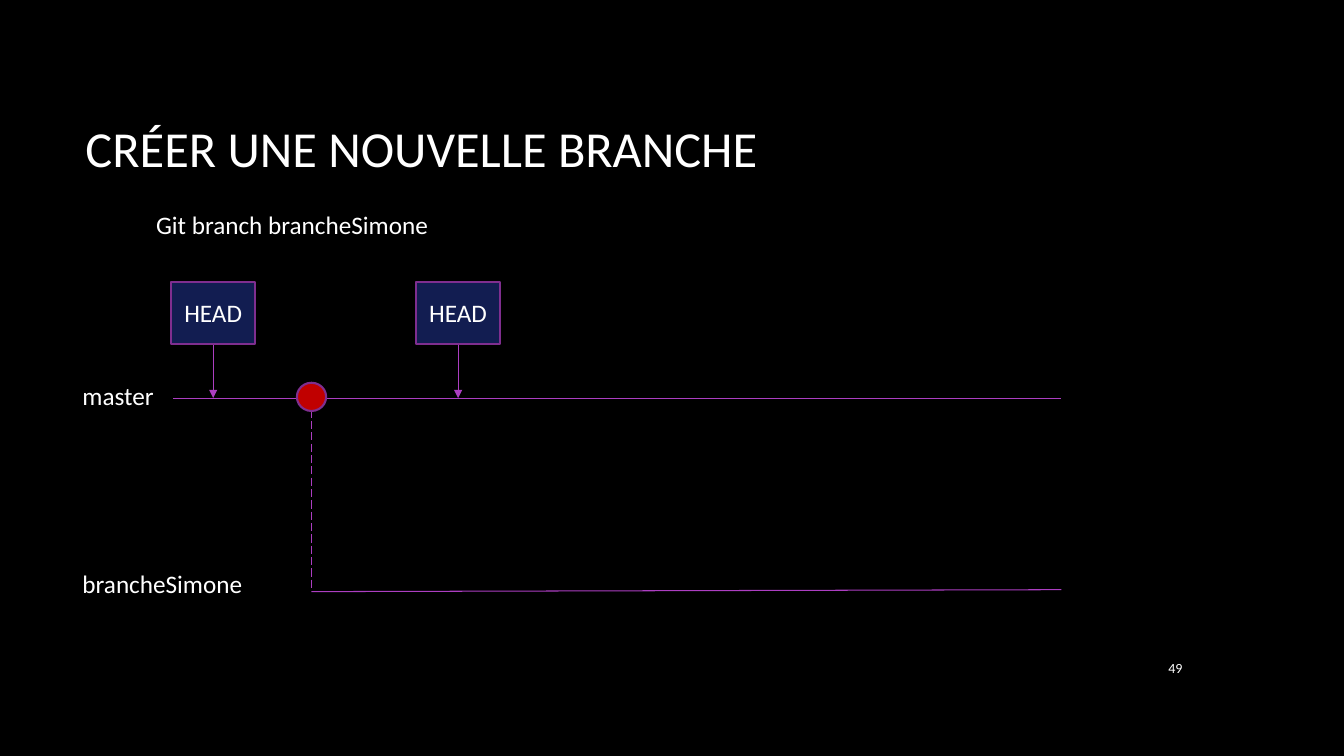
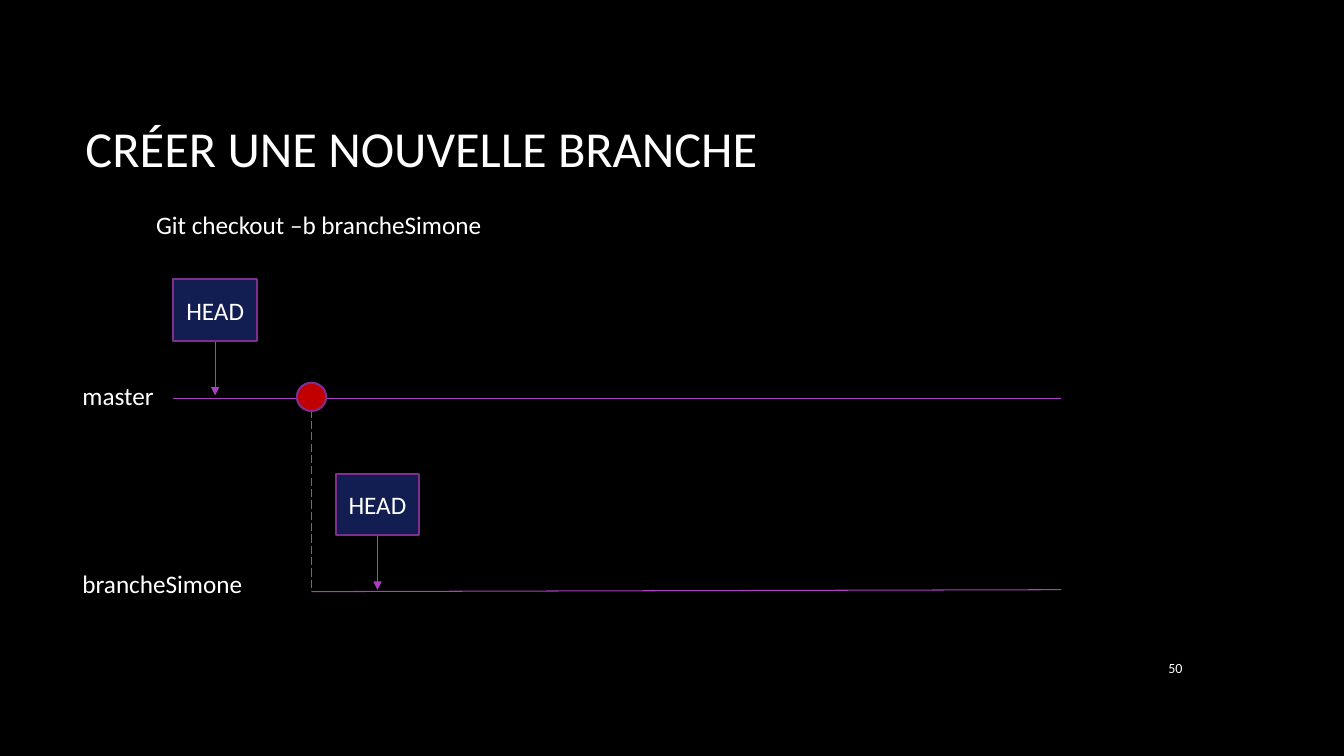
"""Build two slides showing how a new Git branch is created and where HEAD points."""
from dataclasses import dataclass

from lxml import etree
from pptx import Presentation
from pptx.dml.color import RGBColor
from pptx.enum import dml, shapes, text
from pptx.oxml.ns import qn
from pptx.util import Pt


@dataclass(frozen=True)
class Theme:
    font: str = "Calibri"
    background: str = "000000"
    ink: str = "FFFFFF"
    branch: str = "AC3EC1"
    outline: str = "7F2E8F"
    head: str = "121D51"
    commit: str = "C00000"
    title_size: int = 36
    body_size: int = 18
    number_size: int = 10


THEME = Theme()
LEFT, CENTER, RIGHT = text.PP_ALIGN.LEFT, text.PP_ALIGN.CENTER, text.PP_ALIGN.RIGHT
RECTANGLE, OVAL = shapes.MSO_SHAPE.RECTANGLE, shapes.MSO_SHAPE.OVAL


def write(shape, words, size=THEME.body_size, align=LEFT, wrap=True):
    frame = shape.text_frame
    frame.text = words
    frame.word_wrap = wrap
    frame.vertical_anchor = text.MSO_ANCHOR.MIDDLE if wrap else text.MSO_ANCHOR.TOP
    if not wrap:
        frame.auto_size = text.MSO_AUTO_SIZE.SHAPE_TO_FIT_TEXT
    paragraph = frame.paragraphs[0]
    paragraph.alignment = align
    font = paragraph.runs[0].font
    font.name, font.size = THEME.font, Pt(size)
    font.color.rgb = RGBColor.from_string(THEME.ink)


def connect(slide, start, end, dash=None, arrow=False):
    ends = [Pt(value) for value in (*start, *end)]
    connector = slide.shapes.add_connector(shapes.MSO_CONNECTOR.STRAIGHT, *ends)
    connector.line.color.rgb = RGBColor.from_string(THEME.branch)
    connector.line.width = Pt(0.75)
    if dash:
        connector.line.dash_style = dash
    properties = connector.element.spPr
    if arrow:
        etree.SubElement(properties.find(qn("a:ln")), qn("a:tailEnd"), type="triangle")
    etree.SubElement(properties, qn("a:effectLst"))


TITLE = "CRÉER UNE NOUVELLE BRANCHE"
MASTER_Y, BRANCH_Y = 284.4, 421.2
MASTER_X, FORK_X, END_X = 123.84, 222.5, 758.16
HEAD_W, HEAD_H, ARROW = 59.76, 44, 38.9
COMMIT_W, COMMIT_H = 20.88, 20.16

PAGES = [
    (49, "Git branch brancheSimone", [(122.4, 201.5), (297.36, 201.5)]),
    (50, "Git checkout –b brancheSimone", [(239.76, 338.4), (123.84, 199.5)]),
]

deck = Presentation()
deck.slide_width, deck.slide_height = Pt(960), Pt(540)
backdrop = deck.slide_master.background.fill
backdrop.solid()
backdrop.fore_color.rgb = RGBColor.from_string(THEME.background)

for number, command, heads in PAGES:
    slide = deck.slides.add_slide(deck.slide_layouts[6])

    captions = [
        ((54, 48.24, 798, 114.5), TITLE, THEME.title_size, LEFT, True),
        ((104.4, 129, 630, 62), command, THEME.body_size, LEFT, True),
        ((808.5, 462.24, 43.2, 29.5), str(number), THEME.number_size, RIGHT, True),
        ((51.84, 267.84, 66, 29), "master", THEME.body_size, LEFT, False),
        ((51.84, 402.48, 130, 29), "brancheSimone", THEME.body_size, LEFT, False),
    ]
    for box, *style in captions:
        write(slide.shapes.add_textbox(*map(Pt, box)), *style)

    connect(slide, (MASTER_X, MASTER_Y), (END_X, MASTER_Y))
    connect(slide, (FORK_X, BRANCH_Y + 1.4), (END_X, BRANCH_Y))
    connect(slide, (FORK_X, MASTER_Y), (FORK_X, BRANCH_Y), dash=dml.MSO_LINE.LONG_DASH)

    for left, top in heads:
        middle, bottom = left + HEAD_W / 2, top + HEAD_H
        connect(slide, (middle, bottom), (middle, bottom + ARROW), arrow=True)

    marks = [(RECTANGLE, (*corner, HEAD_W, HEAD_H), THEME.head, "HEAD") for corner in heads]
    commit_box = (FORK_X - COMMIT_W / 2, MASTER_Y - 11, COMMIT_W, COMMIT_H)
    marks.append((OVAL, commit_box, THEME.commit, ""))
    for outline, box, colour, words in marks:
        mark = slide.shapes.add_shape(outline, *map(Pt, box))
        mark.shadow.inherit = False
        mark.fill.solid()
        mark.fill.fore_color.rgb = RGBColor.from_string(colour)
        mark.line.color.rgb = RGBColor.from_string(THEME.outline)
        mark.line.width = Pt(1.5)
        if words:
            write(mark, words, align=CENTER)

deck.save("out.pptx")
